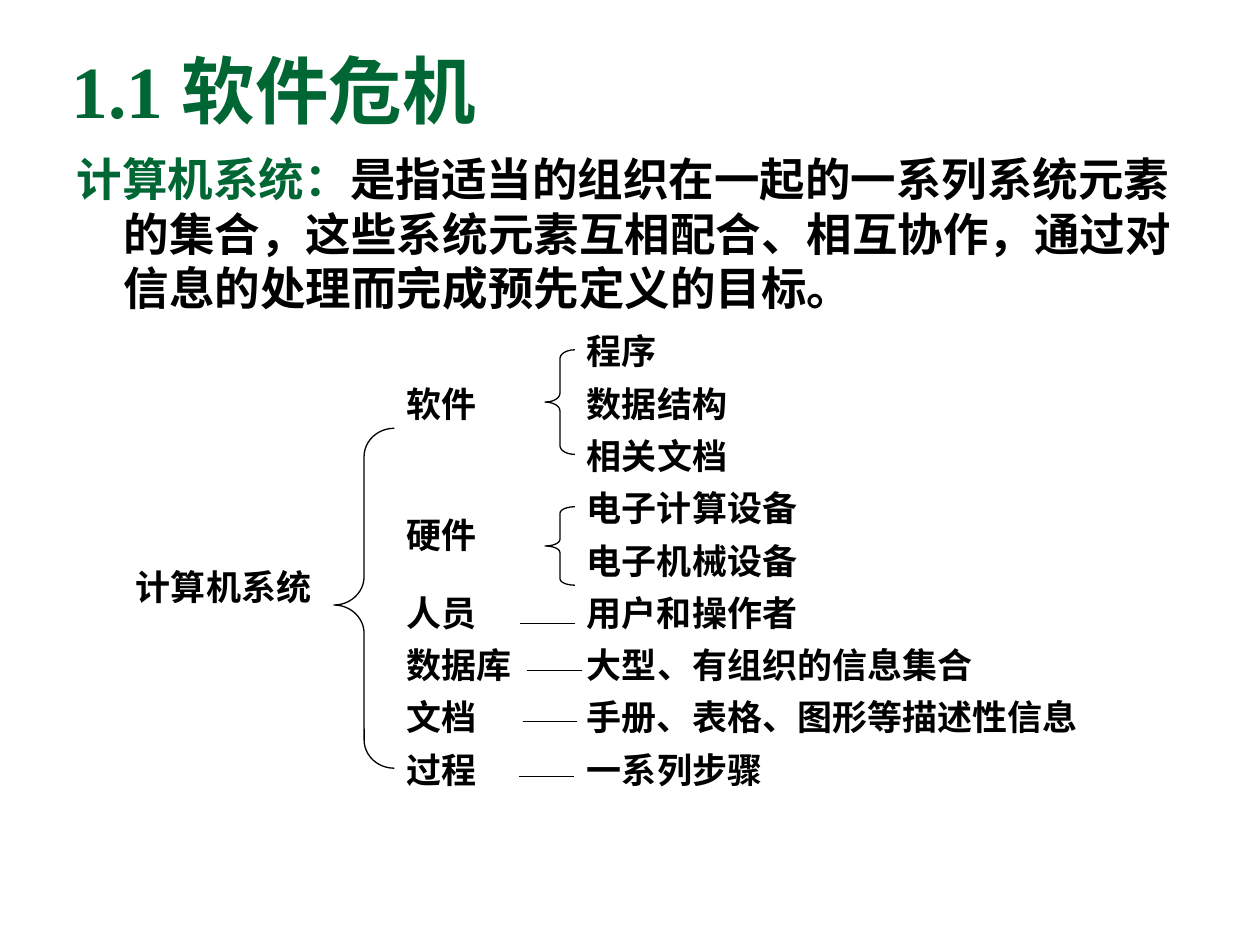
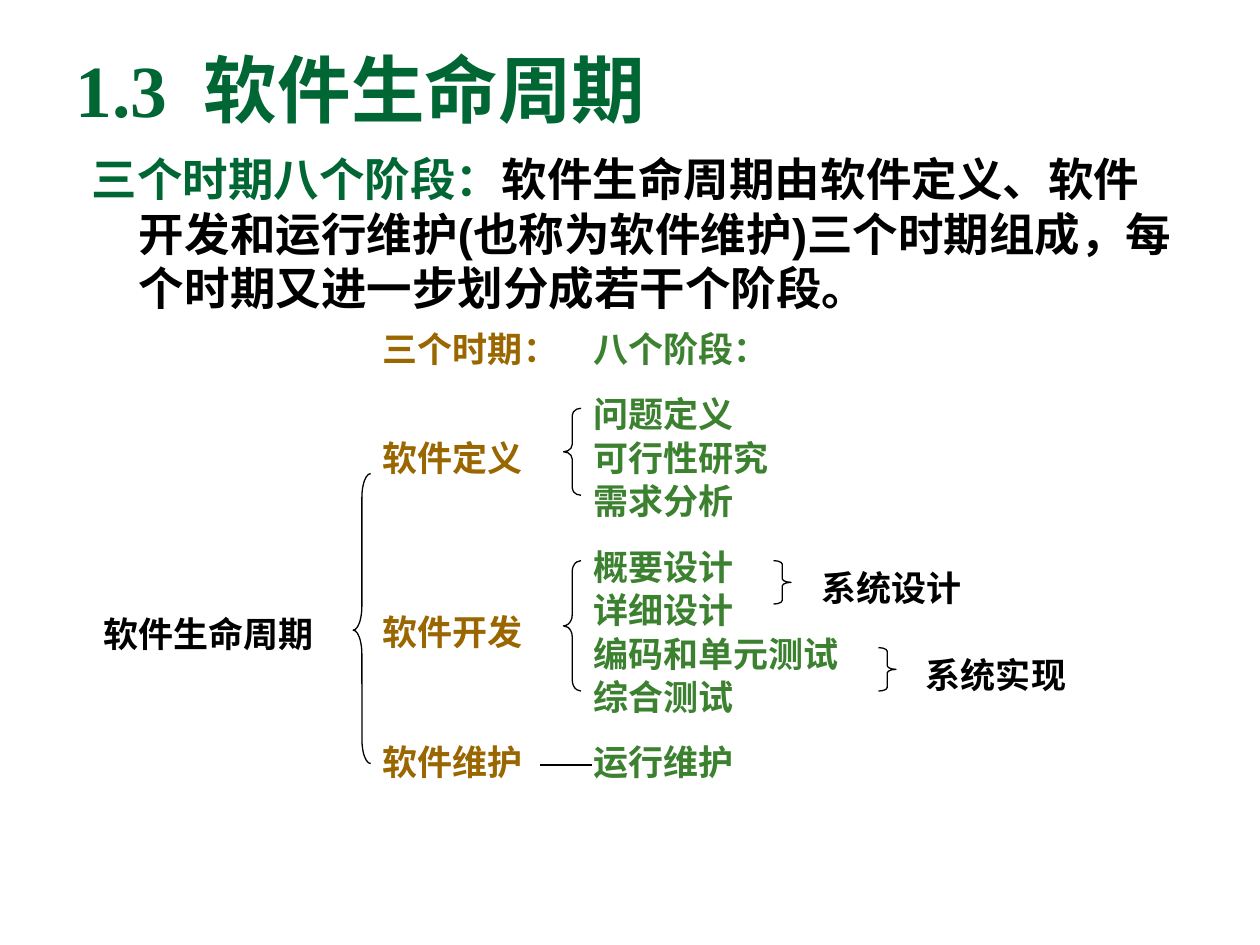
from pptx import Presentation
from pptx.dml.color import RGBColor
from pptx.enum.lang import MSO_LANGUAGE_ID
from pptx.enum.shapes import MSO_CONNECTOR, MSO_SHAPE
from pptx.enum.text import MSO_ANCHOR, PP_ALIGN
from pptx.oxml.ns import qn
from pptx.util import Pt
from lxml import etree

GREEN = RGBColor(0x00, 0x66, 0x33)
LEAF = RGBColor(0x3B, 0x81, 0x2F)
BROWN = RGBColor(0x99, 0x66, 0x00)
BLACK = RGBColor(0, 0, 0)
CHINESE = MSO_LANGUAGE_ID.SIMPLIFIED_CHINESE
TOP, JUSTIFY = MSO_ANCHOR.TOP, PP_ALIGN.JUSTIFY
STRAIGHT = MSO_CONNECTOR.STRAIGHT
LEFT, RIGHT = MSO_SHAPE.LEFT_BRACE, MSO_SHAPE.RIGHT_BRACE

TITLE = {"name": "Times New Roman", "size": Pt(42), "bold": True}
BODY = {"name": "Arial", "size": Pt(26), "bold": True}
LABEL = {"name": "Times New Roman", "size": Pt(20), "bold": True}
HANG = 27

# Content: boxes are (left, top, width, height); diagram rows count in steps of "pitch"
SLIDES = [
    {
        "title": ("1.1 软件危机", (33.84, 22.32, 648, 90)),
        "term": "计算机系统：",
        "meaning": "是指适当的组织在一起的一系列系统元素的集合，这些系统元素互相配合、"
                   "相互协作，通过对信息的处理而完成预先定义的目标。",
        "body_box": (36.72, 82.8, 648, 102.24),
        "top": 185, "pitch": 29.88, "label_height": 44.6,
        # (left, colour, [(row, width, text)])
        "columns": [
            (70.6, BLACK, [(4.5, 137.5, "计算机系统")]),
            (225.4, BLACK, [
                (1, 85.7, "软件"), (3.5, 68.4, "硬件"), (5, 85.7, "人员"),
                (6, 91.4, "数据库"), (7, 85.7, "文档"), (8, 85.7, "过程")]),
            (328.3, BLACK, [
                (0, 85.7, "程序"), (1, 137.5, "数据结构"), (2, 137.5, "相关文档"),
                (3, 172, "电子计算设备"), (4, 172, "电子机械设备"),
                (5, 172, "用户和操作者"), (6, 257.8, "大型、有组织的信息集合"),
                (7, 309.6, "手册、表格、图形等描述性信息"), (8, 137.5, "一系列步骤")]),
        ],
        # (shape, left, width, row, rows, tip position)
        "braces": [(LEFT, 190.8, 34.5, 2, 6.5, 0.52),
                   (LEFT, 311.5, 17, 0.5, 2, 0.5),
                   (LEFT, 311.5, 17, 3.5, 1.5, 0.5)],
        # (left, right, row)
        "links": [(297.2, 328.5, 5.74), (301, 332.5, 6.63),
                  (298.6, 330, 7.61), (296.6, 328, 8.66)],
    },
    {
        "title": ("1.3  软件生命周期", (36, 21.6, 648, 90)),
        "term": "三个时期八个阶段：",
        "meaning": "软件生命周期由软件定义、软件开发和运行维护(也称为软件维护)三个时期组成，"
                   "每个时期又进一步划分成若干个阶段。",
        "body_box": (45.36, 82.8, 638.64, 108),
        "top": 183.6, "pitch": 12.43, "label_height": 37.4,
        "columns": [
            (51.8, BLACK, [(13.1, 149.8, "软件生命周期")]),
            (211.7, BROWN, [
                (0, 120, "三个时期："), (5, 110, "软件定义"),
                (13, 120, "软件开发"), (19, 110, "软件维护")]),
            (331.9, LEAF, [
                (0, 120, "八个阶段："), (3, 110, "问题定义"), (5, 137.5, "可行性研究"),
                (7, 110, "需求分析"), (10, 110, "概要设计"), (12, 120, "详细设计"),
                (14, 170, "编码和单元测试"), (16, 120, "综合测试"), (19, 120, "运行维护")]),
            (462.2, BLACK, [(11, 110, "系统设计")]),
            (522, BLACK, [(15, 110, "系统实现")]),
        ],
        "braces": [(LEFT, 322, 10, 4, 4, 0.5),
                   (LEFT, 322, 10, 11, 6, 0.5),
                   (LEFT, 201.8, 10, 7, 13.33, 0.54),
                   (RIGHT, 442, 10, 11, 2, 0.5),
                   (RIGHT, 502, 10, 15, 2, 0.5)],
        "links": [(308.8, 338.4, 20.4)],
    },
]


def add_text(s, box, runs, style):
    """Add a one-paragraph text box from (text, colour) runs."""
    tf = s.shapes.add_textbox(*map(Pt, box)).text_frame
    tf.word_wrap = True
    tf.vertical_anchor = TOP
    p = tf.paragraphs[0]
    for text, color in runs:
        r = p.add_run()
        r.text = text
        for key, value in style.items():
            setattr(r.font, key, value)
        r.font.language_id = CHINESE
        r.font.color.rgb = color
    return p


def style_line(sp):
    sp.line.color.rgb = BLACK
    sp.line.width = Pt(0.75)


def add_brace(s, kind, left, top, width, height, tip):
    sp = s.shapes.add_shape(kind, Pt(left), Pt(top), Pt(width), Pt(height))
    sp.shadow.inherit = False
    sp.fill.background()
    style_line(sp)
    # Each curve takes a twelfth of the height
    sp.adjustments[0] = height / 12 / min(width, height)
    sp.adjustments[1] = tip


def add_link(s, left, right, y):
    line = s.shapes.add_connector(STRAIGHT, Pt(left), Pt(y), Pt(right), Pt(y))
    style_line(line)
    etree.SubElement(line._element.spPr, qn("a:effectLst"))


def build_slide(prs, data):
    s = prs.slides.add_slide(prs.slide_layouts[6])

    def row_y(row):
        return data["top"] + data["pitch"] * row

    # Title and definition
    title, title_box = data["title"]
    add_text(s, title_box, [(title, GREEN)], TITLE)
    runs = [(data["term"], GREEN), (data["meaning"], BLACK)]
    p = add_text(s, data["body_box"], runs, BODY)
    pPr = p._p.get_or_add_pPr()
    pPr.set("marL", str(Pt(HANG)))
    pPr.set("indent", str(-Pt(HANG)))

    # Diagram labels
    for left, color, labels in data["columns"]:
        for row, width, text in labels:
            box = (left, row_y(row), width, data["label_height"])
            add_text(s, box, [(text, color)], LABEL).alignment = JUSTIFY

    # Braces and links
    for kind, left, width, row, rows, tip in data["braces"]:
        add_brace(s, kind, left, row_y(row), width, rows * data["pitch"], tip)
    for left, right, row in data["links"]:
        add_link(s, left, right, row_y(row))


def main():
    prs = Presentation()
    prs.slide_width, prs.slide_height = Pt(720), Pt(540)
    for data in SLIDES:
        build_slide(prs, data)
    prs.save("out.pptx")


if __name__ == "__main__":
    main()
